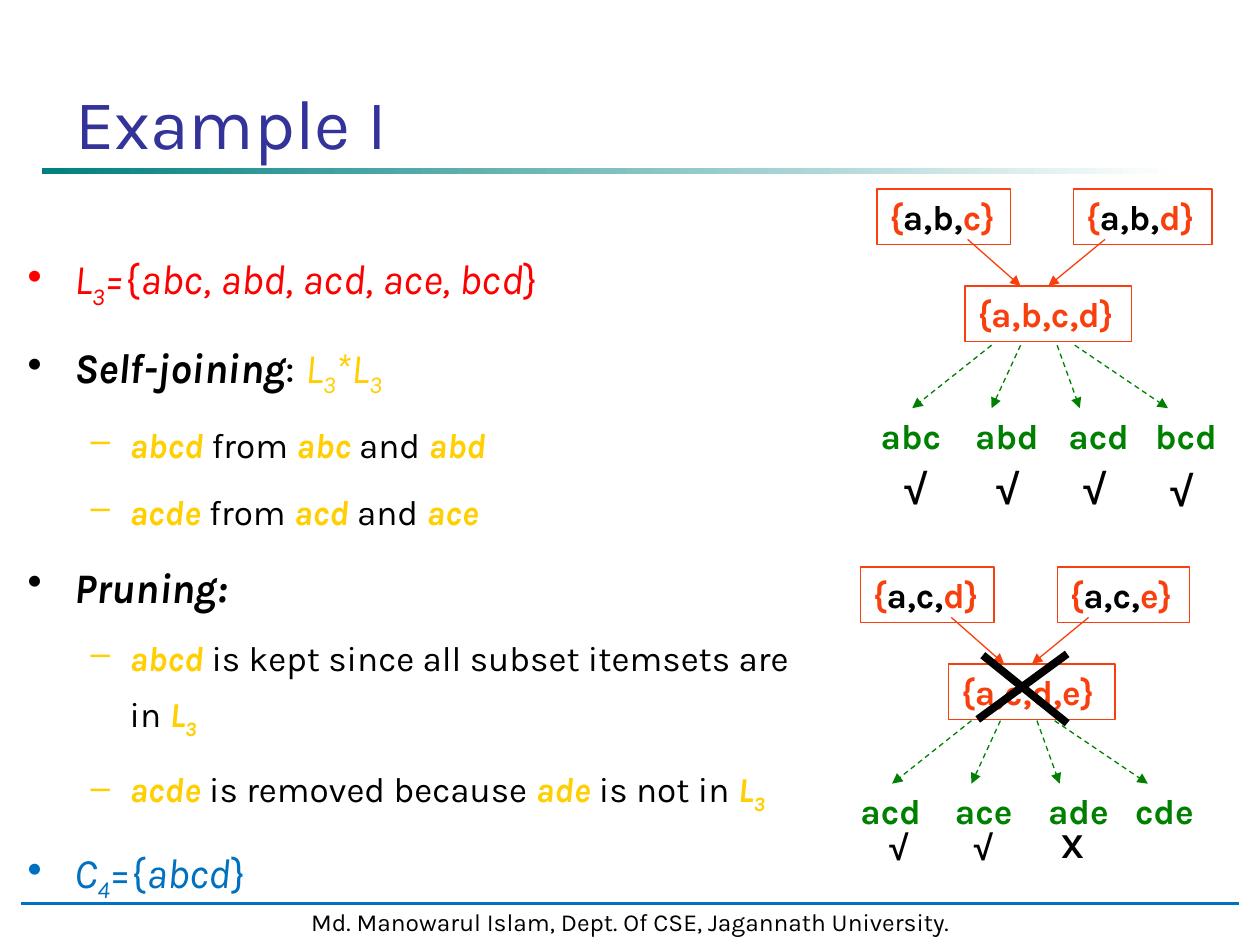
from dataclasses import dataclass
from typing import NamedTuple

from lxml import etree
from pptx import Presentation, util as u
from pptx.dml.color import RGBColor
from pptx.enum import dml, shapes, text
from pptx.oxml.ns import qn

COLORS = {
    "black": "000000", "white": "FFFFFF", "red": "FF0000", "gold": "FFCF01",
    "blue": "0070C0", "navy": "333399", "teal": "008080",
    "orange": "F8400E", "green": "008000",
}


class Run(NamedTuple):
    text: str
    color: str = "black"
    style: str = ""
    sub: bool = False


class Line(NamedTuple):
    level: int
    bullet_color: str
    runs: list


class Mark(NamedTuple):
    text: str
    x: float
    y: float


@dataclass
class Tree:
    x: float
    y: float
    prefix: str
    ends: tuple
    end_widths: tuple
    joined: str
    leaf_x: float
    leaf_y: float
    leaves: tuple
    marks: list
    mark_size: int


def gold(txt: str, sub: bool = False) -> Run:
    return Run(txt, "gold", "bi", sub)


BODY = [
    Line(0, "red", [Run("L", "red", "i"), Run("3", "red", "i", True), Run("=", "red", "i"),
                    Run("{", "red"), Run("abc, abd, acd, ace, bcd", "red", "i"), Run("}", "red")]),
    Line(0, "black", [Run("Self-joining", style="bi"), Run(": "), Run("L", "gold", "i"),
                      Run("3", "gold", "i", True), Run("*L", "gold", "i"),
                      Run("3", "gold", "i", True)]),
    Line(1, "gold", [gold("abcd "), Run("from "), gold("abc "), Run("and "), gold("abd")]),
    Line(1, "gold", [gold("acde"), Run(" from "), gold("acd"), Run(" and "), gold("ace")]),
    Line(0, "black", [Run("Pruning:", style="bi")]),
    Line(1, "gold", [gold("abcd "), Run("is kept since all subset itemsets are in "),
                     gold("L"), gold("3", True)]),
    Line(1, "gold", [gold("acde"), Run(" is removed because "), gold("ade"),
                     Run(" is not in "), gold("L"), gold("3", True)]),
    Line(0, "blue", [Run("C", "blue", "i"), Run("4", "blue", "i", True), Run("={", "blue"),
                     Run("abcd", "blue", "i"), Run("}", "blue")]),
]

TREES = [
    Tree(6.83, 4.5, "a,c,", ("d", "e"), (1.06, 1.05), "{a,c,d,e}", 6.73, 6.22,
         ("acd", "ace", "ade", "cde"),
         [Mark("√", 6.96, 6.5), Mark("√", 7.63, 6.5), Mark("X", 8.32, 6.49)], 20),
    Tree(6.96, 1.5, "a,b,", ("c", "d"), (1.06, 1.1), "{a,b,c,d}", 6.89, 3.24,
         ("abc", "abd", "acd", "bcd"),
         [Mark("√", 7.08, 3.62), Mark("√", 7.81, 3.62), Mark("√", 8.5, 3.62),
          Mark("√", 9.19, 3.64)], 24),
]


def rgb(name: str) -> RGBColor:
    return RGBColor.from_string(COLORS[name])


def add_runs(p, runs: list, size: float, font: str = "Karla") -> None:
    for run in runs:
        r = p.add_run()
        r.text = run.text
        r.font.size, r.font.name = u.Pt(size), font
        r.font.bold, r.font.italic = "b" in run.style, "i" in run.style
        r.font.color.rgb = rgb(run.color)
        if run.sub:
            r.font._element.set("baseline", "-25000")


def add_text(s, x: float, y: float, w: float, h: float, runs: list, *, size: float = 20,
             font: str = "Karla", wrap: bool = True, border: str = "", fill: str = "",
             weight: float = 0.75, align=text.PP_ALIGN.LEFT):
    """Add a text box, or a rectangle with text when a border is given."""
    at = [u.Inches(v) for v in (x, y, w, h)]
    if border:
        sp = s.shapes.add_shape(shapes.MSO_SHAPE.RECTANGLE, *at)
        sp.shadow.inherit = False
        sp.line.color.rgb, sp.line.width = rgb(border), u.Pt(weight)
    else:
        sp = s.shapes.add_textbox(*at)
    if fill:
        sp.fill.solid()
        sp.fill.fore_color.rgb = rgb(fill)
    else:
        sp.fill.background()
    tf = sp.text_frame
    tf.word_wrap = wrap
    tf.vertical_anchor = text.MSO_ANCHOR.TOP
    p = tf.paragraphs[0]
    p.alignment = align
    add_runs(p, runs, size, font)
    return sp


def add_line(s, x1: float, y1: float, x2: float, y2: float, color: str, *,
             weight: float = 0.75, dashed: bool = False, arrow: bool = False) -> None:
    c = s.shapes.add_connector(shapes.MSO_CONNECTOR.STRAIGHT,
                               *[u.Inches(v) for v in (x1, y1, x2, y2)])
    c.line.color.rgb, c.line.width = rgb(color), u.Pt(weight)
    if dashed:
        c.line.dash_style = dml.MSO_LINE.DASH
    if arrow:
        etree.SubElement(c.line._get_or_add_ln(), qn("a:tailEnd"), type="triangle")
    etree.SubElement(c._element.spPr, qn("a:effectLst"))


def add_body(s) -> None:
    tf = add_text(s, 0.12, 1.82, 6.29, 5.59, []).text_frame
    for i, line in enumerate(BODY):
        p = tf.add_paragraph() if i else tf.paragraphs[0]
        indent, hanging, before, size, char = ((0.81, 0.31, 7, 20, "–") if line.level
                                               else (0.37, 0.37, 8, 24, "•"))
        pPr = p._p.get_or_add_pPr()
        pPr.set("marL", str(u.Inches(indent)))
        pPr.set("indent", str(-u.Inches(hanging)))
        clr = etree.SubElement(pPr, qn("a:buClr"))
        etree.SubElement(clr, qn("a:srgbClr"), val=COLORS[line.bullet_color])
        etree.SubElement(pPr, qn("a:buChar"), char=char)
        p.level, p.line_spacing = line.level, 1.3
        if i:
            p.space_before = u.Pt(before)
        add_runs(p, line.runs, size)


def add_tree(s, t: Tree) -> None:
    for end, dx, w in zip(t.ends, (0, 1.56), t.end_widths):
        runs = [Run("{", "orange", "b"), Run(t.prefix, "black", "b"),
                Run(end + "}", "orange", "b")]
        add_text(s, t.x + dx, t.y, w, 0.44, runs, wrap=False, border="orange")
    for start, stop in ((0.72, 1.14), (1.81, 1.36)):
        add_line(s, t.x + start, t.y + 0.4, t.x + stop, t.y + 0.77, "orange", arrow=True)
    add_text(s, t.x + 0.7, t.y + 0.77, 1.32, 0.44, [Run(t.joined, "orange", "b")],
             wrap=False, border="orange")
    for start, stop in ((0.98, 0.35), (1.21, 0.98), (1.5, 1.68), (1.64, 2.38)):
        add_line(s, t.leaf_x + start, t.leaf_y - 0.5, t.leaf_x + stop, t.leaf_y, "green",
                 dashed=True, arrow=True)
    for leaf, dx in zip(t.leaves, (0, 0.75, 1.49, 2.18)):
        add_text(s, t.leaf_x + dx, t.leaf_y, 0.89, 0.44, [Run(leaf, "green", "b")])
    for mark in t.marks:
        add_text(s, mark.x, mark.y, 0.38, 0.44, [Run(mark.text, "black", "b")], wrap=False,
                 size=t.mark_size, font="Karla" if mark.text == "X" else "Arial")


def add_title_bar(s) -> None:
    sp = s.shapes.add_shape(shapes.MSO_SHAPE.RECTANGLE, u.Inches(0.33), u.Inches(1.33),
                            u.Inches(9), u.Inches(0.05))
    sp.shadow.inherit = False
    sp.line.fill.background()
    sp.fill.gradient()
    sp.fill.gradient_angle = 0
    for stop, position, color in zip(sp.fill.gradient_stops, (0, 1), ("teal", "white")):
        stop.position, stop.color.rgb = position, rgb(color)


def main() -> None:
    prs = Presentation()
    prs.slide_width, prs.slide_height = u.Inches(10), u.Inches(7.5)
    s = prs.slides.add_slide(prs.slide_layouts[6])
    add_title_bar(s)
    add_text(s, 0.17, 7.15, 9.67, 0.33,
             [Run("Md. Manowarul Islam, Dept. Of CSE, Jagannath University.")], size=14,
             wrap=False, border="white", fill="white", weight=2, align=text.PP_ALIGN.CENTER)
    add_line(s, 0.17, 7.17, 9.83, 7.17, "blue", weight=1.75)
    add_text(s, 0.5, 0.58, 9, 1.08, [Run("Example I", "navy")], size=40)
    add_body(s)
    for tree in TREES:
        add_tree(s, tree)
    add_line(s, 7.76, 5.71, 8.47, 5.19, "black", weight=4.5)
    add_line(s, 7.8, 5.2, 8.47, 5.74, "black", weight=4.5)
    prs.save("out.pptx")


if __name__ == "__main__":
    main()
